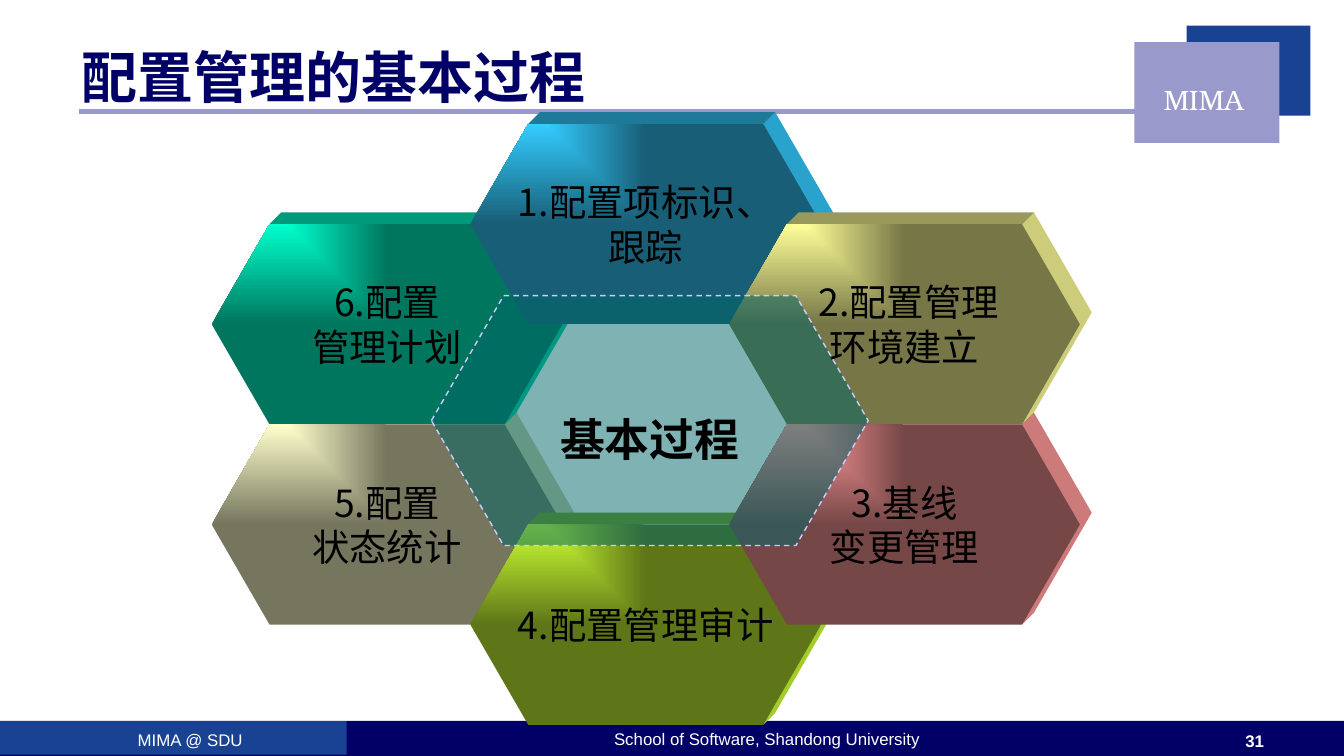
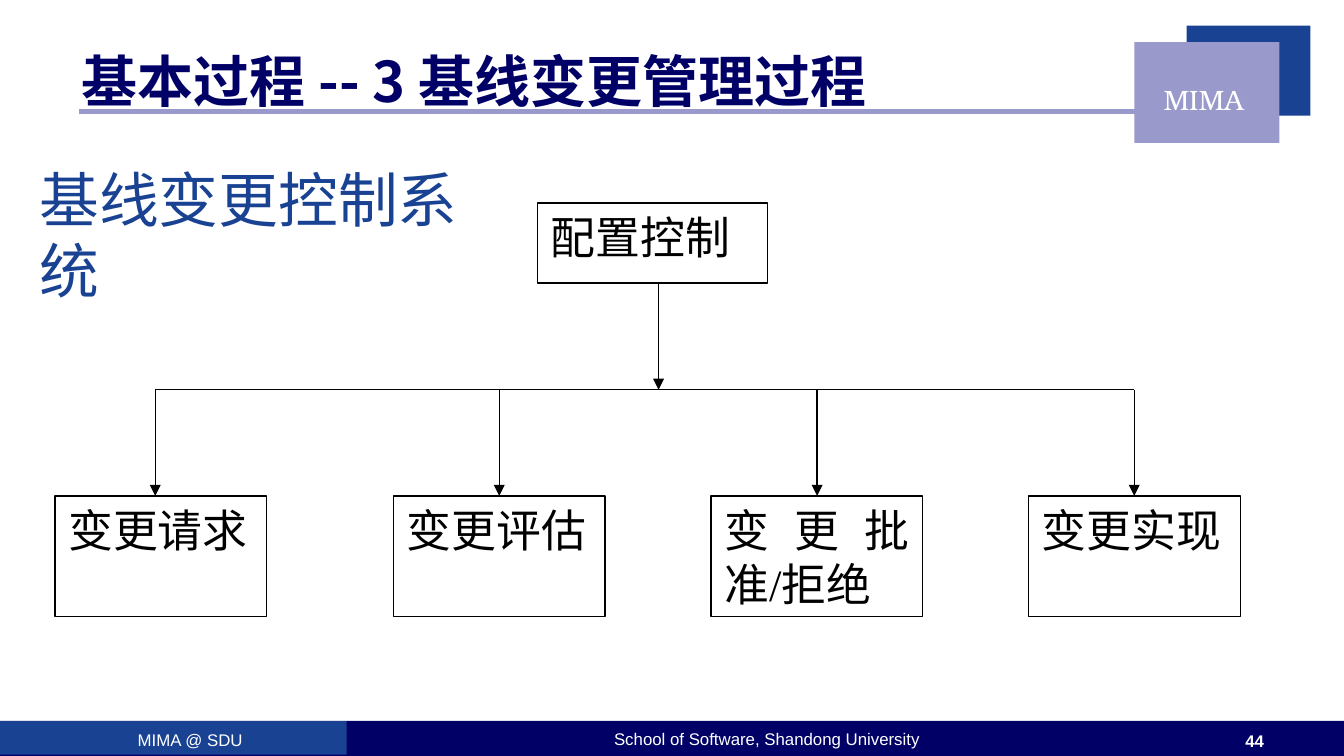
import pptx
import pptx.util
import pptx.dml.color
import pptx.enum.dml
import pptx.enum.shapes
import pptx.enum.text
import pptx.oxml.ns

SHAPE = pptx.enum.shapes.MSO_SHAPE
ALIGN = pptx.enum.text.PP_ALIGN
ANCHOR = pptx.enum.text.MSO_ANCHOR

NAVY, BLUE, LILAC = "000066", "194293", "9999CC"
WHITE, BLACK = "FFFFFF", "000000"
HAN = "Noto Sans CJK SC"


def grid(n):
    """Length of n grid cells; the slide is 100 columns by 56.25 rows."""
    return pptx.util.Inches(n / 10)


def color(code):
    return pptx.dml.color.RGBColor.from_string(code)


def shade(code, part):
    """Darken a colour to a part of its brightness."""
    return "".join(f"{round(int(code[i:i + 2], 16) * part):02X}" for i in (0, 2, 4))


def add_tag(parent, tag, **attrs):
    node = parent.makeelement(pptx.oxml.ns.qn(tag), {k: str(v) for k, v in attrs.items()})
    parent.append(node)
    return node


def write(shape, text, size=20, font=HAN, ink=BLACK, bold=False, align=ALIGN.LEFT,
          anchor=ANCHOR.TOP, wrap=True, top=0.5, bottom=0.5, lead=1.2):
    """Put lines of text in a shape; lead is the line pitch in font sizes."""
    frame = shape.text_frame
    frame.word_wrap = wrap
    frame.vertical_anchor = anchor
    frame.margin_top, frame.margin_bottom = grid(top), grid(bottom)
    for i, line in enumerate(text.split("\n")):
        para = frame.add_paragraph() if i else frame.paragraphs[0]
        para.alignment = align
        if lead:
            para.line_spacing = pptx.util.Pt(size * lead)
        run = para.add_run()
        run.text = line
        run.font.size = pptx.util.Pt(size)
        run.font.bold = bold
        run.font.color.rgb = color(ink)
        run.font.name = font
        add_tag(run._r.get_or_add_rPr(), "a:ea", typeface=HAN)


class Deck:
    def __init__(self):
        self.prs = pptx.Presentation()
        self.prs.slide_width, self.prs.slide_height = grid(100), grid(56.25)

    def start(self, title, number, top):
        """Open a slide with the shared frame, title and footer."""
        self.shapes = self.prs.slides.add_slide(self.prs.slide_layouts[6]).shapes
        self.line(5.85, 8.3, 85, 8.3, LILAC, 2.25)
        self.shape(0, 53.65, 100, 2.6, NAVY)
        self.shape(88.3, 1.9, 9.2, 6.7, BLUE)
        self.shape(84.4, 3.13, 10.8, 7.5, LILAC)
        self.shape(0, 53.65, 25.8, 2.5, BLUE)
        self.text(83.3, 5.65, 12.5, 3.5, "MIMA", size=15, font="TeX Gyre Bonum",
                  ink=WHITE, align=ALIGN.CENTER, lead=None)
        foot = dict(size=9, font="Arial", ink=WHITE, align=ALIGN.CENTER, lead=None)
        self.text(2.5, 53.8, 23.3, 1.4, "MIMA @ SDU", **foot)
        self.text(28.7, 53.7, 56.7, 2.1, "School of Software, Shandong University", **foot)
        self.text(91, 53.9, 4.7, 1.5, number, bold=True, **foot)
        self.text(5.1, 3, 80.9, 5.4, title, size=30, ink=NAVY, bold=True, top=top, bottom=0)

    def text(self, x, y, w, h, words, **style):
        write(self.shapes.add_textbox(*map(grid, (x, y, w, h))), words, **style)

    def shape(self, x, y, w, h, fill, kind=SHAPE.RECTANGLE, edge=None):
        item = self.shapes.add_shape(kind, *map(grid, (x, y, w, h)))
        return self.paint(item, fill, edge)

    def paint(self, item, fill, edge=None):
        item.shadow.inherit = False
        item.fill.solid()
        item.fill.fore_color.rgb = color(fill)
        if edge:
            item.line.color.rgb = color(edge)
            item.line.width = pptx.util.Pt(0.75)
        else:
            item.line.fill.background()
        return item

    def line(self, x1, y1, x2, y2, ink=BLACK, width=0.75, arrow=False):
        item = self.shapes.add_connector(pptx.enum.shapes.MSO_CONNECTOR.STRAIGHT,
                                         *map(grid, (x1, y1, x2, y2)))
        item.line.color.rgb = color(ink)
        item.line.width = pptx.util.Pt(width)
        if arrow:
            add_tag(item.line._get_or_add_ln(), "a:tailEnd", type="triangle")
        add_tag(item._element.spPr, "a:effectLst")

    def hexa(self, x, y, w, h, fill, edge=None):
        item = self.shape(x, y, w, h, fill, SHAPE.HEXAGON, edge)
        item.adjustments[0] = 0.289
        return item

    def facet(self, rim, fill):
        """Fill the outline through the points of rim."""
        rim = [(grid(a), grid(b)) for a, b in rim]
        trace = self.shapes.build_freeform(*rim[0], scale=1.0)
        trace.add_line_segments(rim[1:], close=True)
        self.paint(trace.convert_to_shape(), fill)

    def block(self, x, y, words, light):
        """Hexagon with a raised look: side, top strip and shaded face."""
        w, h, deep, cut = 26.1, 14.9, 0.88, 4.3
        left, right, foot = x + cut, x + w - cut, y + h
        back = [(right + deep, y - deep), (x + w + deep, y + h / 2 - deep),
                (right + deep, foot - deep)]
        self.facet([(right, y), *back, (right, foot)], shade(light, 0.8))
        self.facet([(left, y), (left + deep, y - deep), back[0], (right, y)],
                   shade(light, 0.6))
        face = self.hexa(x, y, w, h, light)
        self.glow(face, light, shade(light, 118 / 255))
        write(face, words, align=ALIGN.CENTER, anchor=ANCHOR.MIDDLE, wrap=False)

    def glow(self, item, light, dark):
        """Fill with a gradient that spreads from the top left corner."""
        item.fill.gradient()
        for stop, code in zip(item.fill.gradient_stops, (light, dark)):
            stop.color.rgb = color(code)
        grad = item._element.spPr.find(pptx.oxml.ns.qn("a:gradFill"))
        grad.remove(grad.find(pptx.oxml.ns.qn("a:lin")))
        way = add_tag(grad, "a:path", path="rect")
        add_tag(way, "a:fillToRect", r=100000, b=100000)

    def card(self, x, y, w, h, words):
        write(self.shape(x, y, w, h, WHITE, edge=BLACK), words, size=24,
              font="Times New Roman", align=ALIGN.JUSTIFY)


def ring(deck):
    deck.start("配置管理的基本过程", "31", top=0.15)
    steps = [
        (0, 3, "5.配置\n状态统计", "FFFFCC"),
        (0, 1, "6.配置\n管理计划", "00FFCC"),
        (1, 0, "1.配置项标识、\n跟踪", "33CCFF"),
        (1, 4, "4.配置管理审计", "CCFF33"),
        (2, 3, "3.基线\n变更管理", "FF9999"),
        (2, 1, " 2.配置管理\n环境建立", "FFFF99"),
    ]
    for col, row, words, light in steps:
        deck.block(15.75 + 19.25 * col, 9.23 + 7.45 * row, words, light)
    core = deck.hexa(32.1, 22, 32.5, 18.6, "006666", edge="CCCCFF")
    core.line.dash_style = pptx.enum.dml.MSO_LINE.DASH
    tint = core._element.spPr.find(pptx.oxml.ns.qn("a:solidFill"))[0]
    add_tag(tint, "a:alpha", val=50000)
    write(core, "基本过程", size=24, bold=True, align=ALIGN.CENTER,
          anchor=ANCHOR.MIDDLE, wrap=False, top=3.2)


def tree(deck):
    deck.start("基本过程 -- 3 基线变更管理过程", "44", top=0.45)
    bar, floor = 29, 36.9
    deck.card(40, 15.1, 17.1, 5.95, "配置控制")
    deck.line(11.55, bar, 84.4, bar)
    deck.line(49, 21.1, 49, bar, arrow=True)
    leaves = [
        (4.1, 11.55, "变更请求"),
        (29.27, 37.15, "变更评估"),
        (52.9, 60.8, "变更批准/拒绝"),
        (76.53, 84.4, "变更实现"),
    ]
    for left, tip, words in leaves:
        deck.card(left, floor, 15.75, 9, words)
        deck.line(tip, bar, tip, floor, arrow=True)
    deck.text(1.95, 11.6, 37, 6.4, "基线变更控制系统", size=32, ink=BLUE)


def main():
    deck = Deck()
    ring(deck)
    tree(deck)
    deck.prs.save("out.pptx")


if __name__ == "__main__":
    main()
